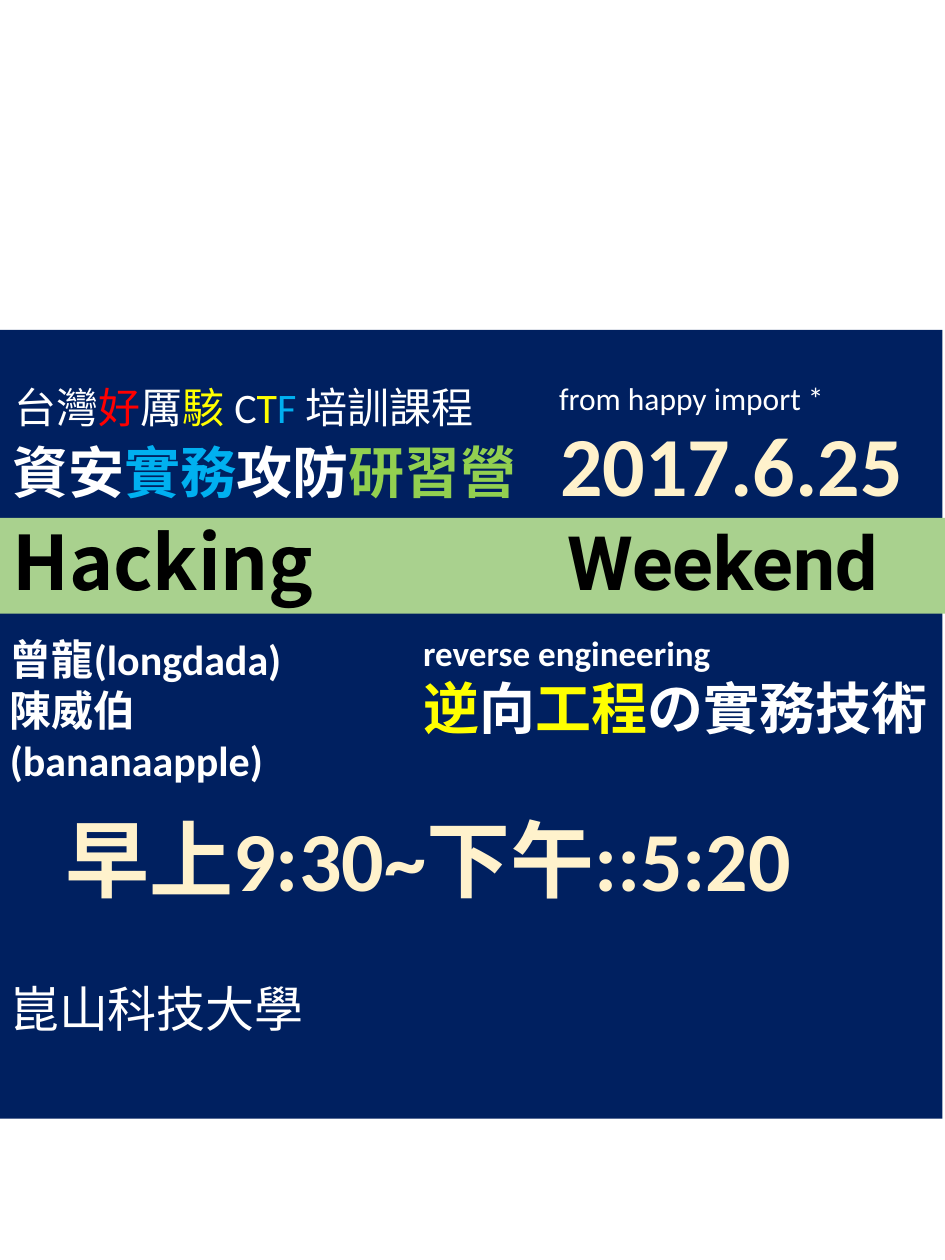
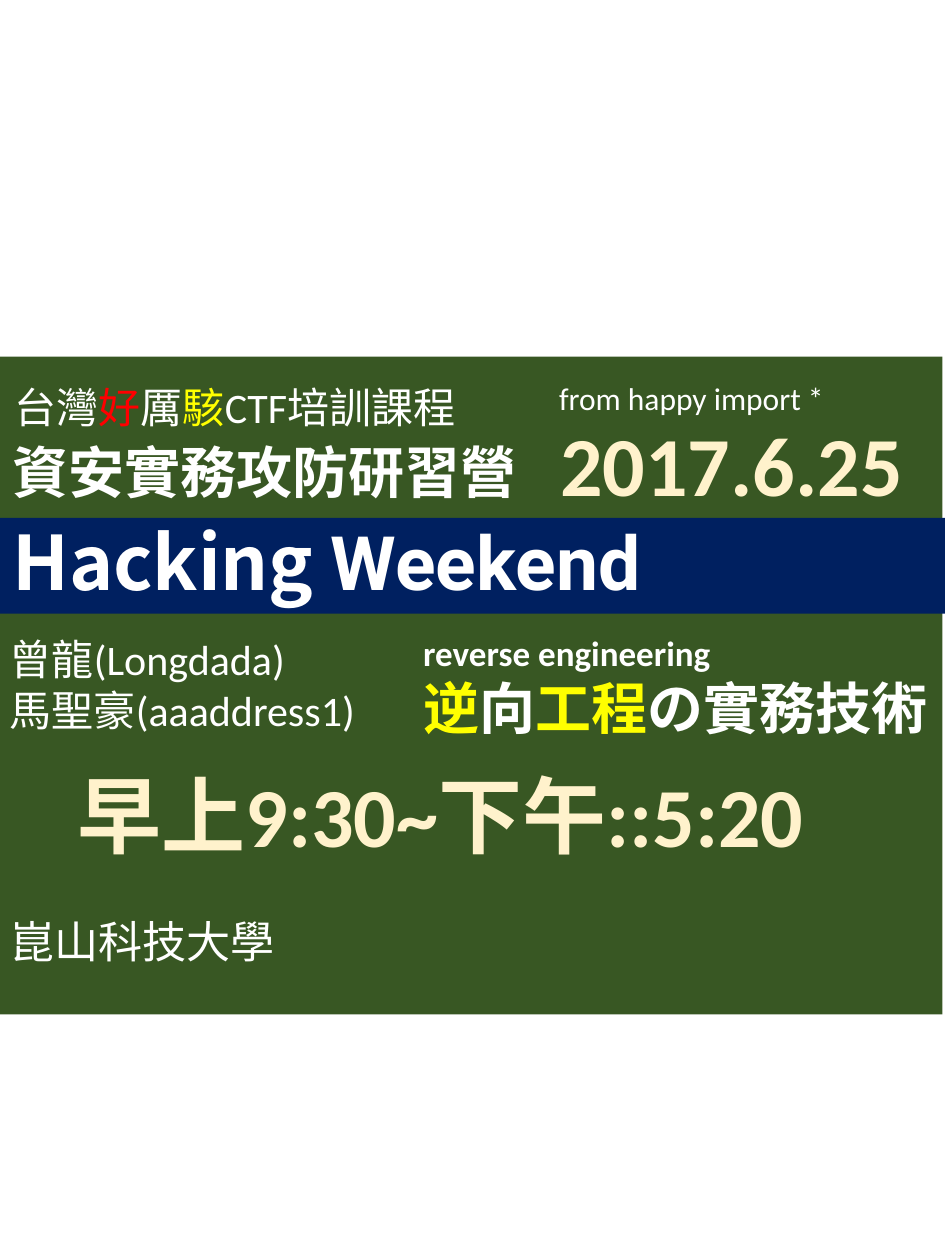
from dataclasses import dataclass

import pptx
import pptx.dml.color
import pptx.enum.shapes
import pptx.enum.text
import pptx.oxml
import pptx.oxml.ns
import pptx.util
from pptx.util import Cm

# Shared colours, fonts and measures
WHITE, BLACK, NAVY, CREAM = "FFFFFF", "000000", "002060", "FFF2CC"
RED, YELLOW, BLUE, LIME = "FF0000", "FFFF00", "00B0F0", "92D050"
PALE_GREEN, FOREST = "A9D18E", "385723"
BODY, BAND, BAND_ACCENT, KANA = "Calibri", "Noto Sans CJK JP", "Roboto", "Noto Sans CJK SC"
PAGE_WIDTH, PAGE_HEIGHT = 19.05, 25.4
BAND_SIZE = 42.9
TOP = pptx.enum.text.MSO_ANCHOR.TOP
MIDDLE = pptx.enum.text.MSO_ANCHOR.MIDDLE
BOTTOM = pptx.enum.text.MSO_ANCHOR.BOTTOM
NO_FIT = pptx.enum.text.MSO_AUTO_SIZE.NONE
GROW = pptx.enum.text.MSO_AUTO_SIZE.SHAPE_TO_FIT_TEXT


@dataclass(frozen=True)
class Span:
    text: str
    color: str = WHITE
    size: float = 24
    bold: bool = False
    font: str = BODY


Line = tuple[Span, ...]


@dataclass(frozen=True)
class Box:
    left: float
    top: float
    width: float
    height: float
    lines: tuple[Line, ...]
    wrap: bool = True


@dataclass(frozen=True)
class Poster:
    panel_top: float
    panel_height: float
    panel_color: str
    venue_size: float
    venue_inset: float
    band_color: str
    band_text: Line
    course: Line
    course_width: float
    camp: Line
    speakers: tuple[Line, ...]
    hours_left: float
    hours_top: float


def rgb(color: str) -> pptx.dml.color.RGBColor:
    return pptx.dml.color.RGBColor.from_string(color)


def set_all(target, values: dict) -> None:
    for name, value in values.items():
        setattr(target, name, value)


def write(frame, lines: tuple[Line, ...], spacing: float = 1.0) -> None:
    for number, line in enumerate(lines):
        para = frame.add_paragraph() if number else frame.paragraphs[0]
        set_all(para, {"alignment": pptx.enum.text.PP_ALIGN.LEFT, "line_spacing": spacing})
        for part in line:
            span = para.add_run()
            span.text = part.text
            set_all(span.font, {"name": part.font, "size": pptx.util.Pt(part.size),
                                "bold": part.bold})
            span.font.color.rgb = rgb(part.color)
            # East Asian letters use the same font
            latin = span.font._element.find(pptx.oxml.ns.qn("a:latin"))
            latin.addnext(pptx.oxml.parse_xml(
                f'<a:ea {pptx.oxml.ns.nsdecls("a")} typeface="{part.font}"/>'))


def paint(shape, color: str) -> None:
    shape.fill.solid()
    shape.fill.fore_color.rgb = rgb(color)
    shape.line.fill.background()


def add_panel(page, poster: Poster) -> None:
    """The title fills the coloured panel, with the venue near its foot."""
    title = page.shapes.title
    set_all(title, {"left": Cm(-0.05), "top": Cm(poster.panel_top),
                    "width": Cm(PAGE_WIDTH), "height": Cm(poster.panel_height)})
    paint(title, poster.panel_color)
    set_all(title.text_frame, {"auto_size": NO_FIT, "word_wrap": True,
                               "vertical_anchor": BOTTOM,
                               "margin_bottom": Cm(poster.venue_inset)})
    write(title.text_frame, ((Span("崑山科技大學", size=poster.venue_size),),), 0.9)


def add_band(page, poster: Poster) -> None:
    band = page.shapes.add_shape(pptx.enum.shapes.MSO_SHAPE.RECTANGLE,
                                 Cm(0), Cm(10.44), Cm(PAGE_WIDTH), Cm(1.93))
    band.shadow.inherit = False
    paint(band, poster.band_color)
    set_all(band.text_frame, {"word_wrap": True, "vertical_anchor": MIDDLE})
    write(band.text_frame, (poster.band_text,), 0.9)
    # Tab stop for a word set apart in the right half
    if any("\t" in part.text for part in poster.band_text):
        band.text_frame.paragraphs[0]._p.get_or_add_pPr().append(pptx.oxml.parse_xml(
            f'<a:tabLst {pptx.oxml.ns.nsdecls("a")}>'
            f'<a:tab pos="{Cm(11.2)}" algn="l"/></a:tabLst>'))


def add_box(page, box: Box) -> None:
    shape = page.shapes.add_textbox(Cm(box.left), Cm(box.top), Cm(box.width), Cm(box.height))
    set_all(shape.text_frame, {"word_wrap": box.wrap, "auto_size": GROW,
                               "vertical_anchor": TOP})
    write(shape.text_frame, box.lines)


# Text that both slides share
DATE = Box(11.05, 8.2, 7.72, 2.31, ((Span("2017.6.25", CREAM, 48, True),),))
MOTTO = Box(11.02, 7.52, 5.92, 1.02, ((Span("from happy import *", size=18),),), wrap=False)
TOPIC = Box(8.28, 12.6, 10.77, 2.49, (
    (Span("reverse engineering", size=20, bold=True),),
    (Span("逆", YELLOW, 32, True), Span("向", WHITE, 32, True), Span("工程", YELLOW, 32, True),
     Span("の實務", WHITE, 32, True, KANA), Span("技術", WHITE, 32, True)),
), wrap=False)
HOURS = ((Span("早上9:30~下午::5:20", CREAM, 48, True),),)
COURSE_START = (Span("台灣"), Span("好", RED), Span("厲"))


def band_words(first: str, color: str) -> Line:
    return (Span(first, color, BAND_SIZE, True, BAND),
            Span("Weekend", color, BAND_SIZE, True, BAND_ACCENT))


POSTERS = (
    Poster(
        panel_top=6.65, panel_height=15.9, panel_color=NAVY, venue_size=28, venue_inset=1.63,
        band_color=PALE_GREEN, band_text=band_words("Hacking\t", BLACK),
        course=COURSE_START + (Span("駭 ", YELLOW), Span("C"), Span("T", YELLOW),
                               Span("F ", BLUE), Span("培訓課程")),
        course_width=10.24,
        camp=(Span("資安", WHITE, 32, True), Span("實務", BLUE, 32, True),
              Span("攻防", WHITE, 32, True), Span("研習營", LIME, 32, True)),
        speakers=((Span("曾龍(longdada)", bold=True),),
                  (Span("陳威伯(bananaapple)", bold=True),)),
        hours_left=1.07, hours_top=16.15),
    Poster(
        panel_top=7.19, panel_height=13.26, panel_color=FOREST, venue_size=25.2,
        venue_inset=0.94,
        band_color=NAVY, band_text=band_words("Hacking ", WHITE),
        course=COURSE_START + (Span("駭", YELLOW), Span("CTF培訓課程")),
        course_width=9.86,
        camp=(Span("資安實務攻防研習營", WHITE, 32, True),),
        speakers=((Span("曾龍(Longdada)"),), (Span("馬聖豪(aaaddress1)"),)),
        hours_left=1.32, hours_top=15.27),
)


def add_poster(deck, poster: Poster) -> None:
    page = deck.slides.add_slide(deck.slide_layouts.get_by_name("Title Only"))
    add_panel(page, poster)
    add_box(page, Box(0, 8.69, 10.77, 1.63, (poster.camp,), wrap=False))
    add_band(page, poster)
    for box in (
        DATE, TOPIC, MOTTO,
        Box(-0.05, 12.65, 7.92, 2.31, poster.speakers),
        Box(poster.hours_left, poster.hours_top, 16.94, 2.31, HOURS),
        Box(0.05, 7.57, poster.course_width, 1.27, (poster.course,), wrap=False),
    ):
        add_box(page, box)


def main() -> None:
    deck = pptx.Presentation()
    set_all(deck, {"slide_width": Cm(PAGE_WIDTH), "slide_height": Cm(PAGE_HEIGHT)})
    for poster in POSTERS:
        add_poster(deck, poster)
    deck.save("out.pptx")


if __name__ == "__main__":
    main()
